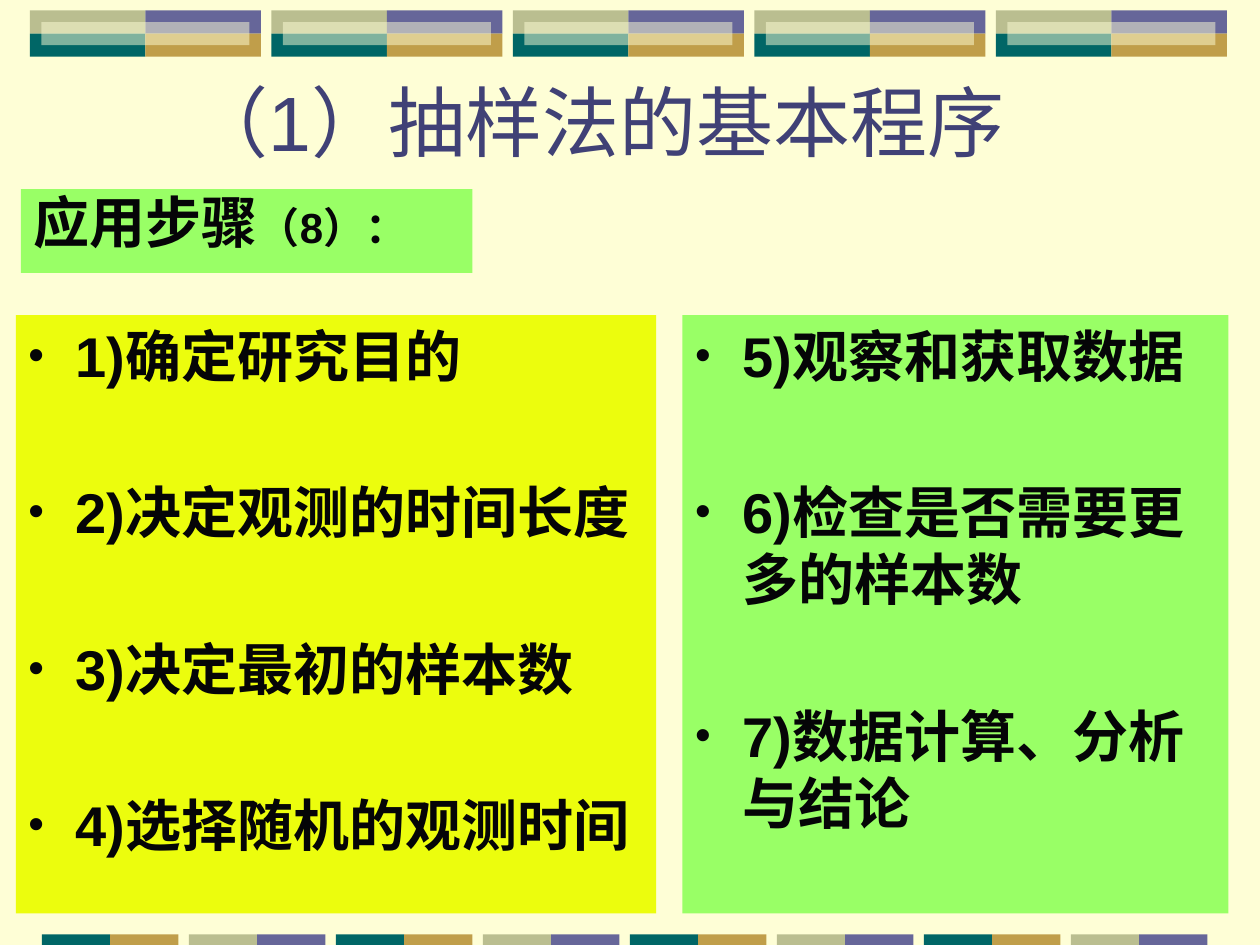
import dataclasses

import lxml.etree
import pptx
import pptx.dml.color
import pptx.enum.shapes
import pptx.enum.text
import pptx.oxml.ns
import pptx.util

COLUMNS, ROWS = 120, 90
UNIT = pptx.util.Inches(10) // COLUMNS


@dataclasses.dataclass(frozen=True)
class Theme:
    font: str = "Arial"
    cream: str = "FEFED6"
    olive: str = "BABE90"
    violet: str = "666699"
    teal: str = "006666"
    gold: str = "C09E4A"
    title: str = "404176"
    ink: str = "050507"
    green: str = "99FF66"
    yellow: str = "ECFD0D"
    title_size: int = 44
    list_size: int = 32
    note_size: int = 24
    step_gap: int = 51


THEME = Theme()


def color(value):
    return pptx.dml.color.RGBColor.from_string(value)


def place(shape, box):
    for name, value in zip(("left", "top", "width", "height"), box):
        setattr(shape, name, round(value * UNIT))


def apply(target, formats):
    for name, value in formats.items():
        setattr(target, name, value)


def paint(shape, value):
    shape.fill.solid()
    shape.fill.fore_color.rgb = color(value)


def add_span(para, text, size, ink, bold):
    span = para.add_run()
    span.text = text
    apply(span.font, {"name": THEME.font, "size": pptx.util.Pt(size), "bold": bold})
    span.font.color.rgb = color(ink)


def add_tile(page, box, fill, opacity=None):
    tile = page.shapes.add_shape(pptx.enum.shapes.MSO_SHAPE.RECTANGLE, 0, 0, 0, 0)
    place(tile, box)
    paint(tile, fill)
    tile.line.fill.background()
    tile.shadow.inherit = False
    if opacity is not None:
        qn = pptx.oxml.ns.qn
        shade = tile._element.spPr.find(f"{qn('a:solidFill')}/{qn('a:srgbClr')}")
        lxml.etree.SubElement(shade, qn("a:alpha"), val=str(opacity * 1000))


def add_top_band(page, box, count=5, gap=1):
    left, top, width, height = box
    pitch = (width + gap) / count
    half_width, half_height = (pitch - gap) / 2, height / 2
    quarters = ((THEME.olive, THEME.violet), (THEME.teal, THEME.gold))
    for index in range(count):
        start = left + index * pitch
        for row, fills in enumerate(quarters):
            for column, fill in enumerate(fills):
                add_tile(page, (start + column * half_width, top + row * half_height,
                                half_width, half_height), fill)
        add_tile(page, (start + half_width * 0.1, top + height / 4,
                        half_width * 1.8, half_height), THEME.cream, opacity=50)


def add_bottom_band(page, box, count=8, gap=1):
    left, top, width, height = box
    pitch = (width + gap) / count
    half = (pitch - gap) / 2
    pairs = ((THEME.teal, THEME.gold), (THEME.olive, THEME.violet))
    for index in range(count):
        for column, fill in enumerate(pairs[index % 2]):
            add_tile(page, (left + index * pitch + column * half, top, half, height), fill)


def prepare_frame(holder, box, anchor):
    place(holder, box)
    frame = holder.text_frame
    apply(frame, {"word_wrap": True, "vertical_anchor": anchor,
                  "auto_size": pptx.enum.text.MSO_AUTO_SIZE.NONE})
    return frame


def fill_title(holder, box, text):
    frame = prepare_frame(holder, box, pptx.enum.text.MSO_ANCHOR.MIDDLE)
    para = frame.paragraphs[0]
    para.alignment = pptx.enum.text.PP_ALIGN.CENTER
    add_span(para, text, THEME.title_size, THEME.title, False)


def fill_heading(holder, box, text, note):
    frame = prepare_frame(holder, box, pptx.enum.text.MSO_ANCHOR.TOP)
    paint(holder, THEME.green)
    para = frame.paragraphs[0]
    apply(para, {"line_spacing": 0.9, "space_before": pptx.util.Pt(0)})
    add_span(para, text, THEME.list_size, THEME.ink, True)
    add_span(para, note, THEME.note_size, THEME.ink, True)


def add_bullet(para):
    qn = pptx.oxml.ns.qn
    properties = para._p.get_or_add_pPr()
    indent = round(4.5 * UNIT)
    for name, value in {"marL": indent, "indent": -indent}.items():
        properties.set(name, str(value))
    lxml.etree.SubElement(properties, qn("a:buSzPct"), val="80000")
    lxml.etree.SubElement(properties, qn("a:buChar"), char="•")


def fill_steps(holder, box, fill, steps, first):
    frame = prepare_frame(holder, box, pptx.enum.text.MSO_ANCHOR.TOP)
    frame.margin_right = UNIT // 2
    paint(holder, fill)
    for index, step in enumerate(steps):
        para = frame.add_paragraph() if index else frame.paragraphs[0]
        add_bullet(para)
        para.space_before = pptx.util.Pt(THEME.step_gap if index else 0)
        add_span(para, f"{first + index}){step}", THEME.list_size, THEME.ink, True)


def build_page(deck):
    page = deck.slides.add_slide(deck.slide_layouts.get_by_name("Comparison"))
    page.background.fill.solid()
    page.background.fill.fore_color.rgb = color(THEME.cream)
    title, heading, left_list, unused, right_list = page.placeholders
    unused._element.getparent().remove(unused._element)
    add_top_band(page, (2.85, 1, 114, 4.4))
    add_bottom_band(page, (4, 89, 111, 1))
    fill_title(title, (6, 6, 102, 11), "（1）抽样法的基本程序")
    fill_heading(heading, (2, 18, 43, 8), "应用步骤", "（8）：")
    early = ("确定研究目的", "决定观测的时间长度", "决定最初的样本数", "选择随机的观测时间")
    late = ("观察和获取数据", "检查是否需要更多的样本数", "数据计算、分析与结论")
    fill_steps(left_list, (1.5, 30, 61, 57), THEME.yellow, early, 1)
    fill_steps(right_list, (65, 30, 52, 57), THEME.green, late, len(early) + 1)


def main():
    deck = pptx.Presentation()
    apply(deck, {"slide_width": COLUMNS * UNIT, "slide_height": ROWS * UNIT})
    build_page(deck)
    deck.save("out.pptx")


if __name__ == "__main__":
    main()
